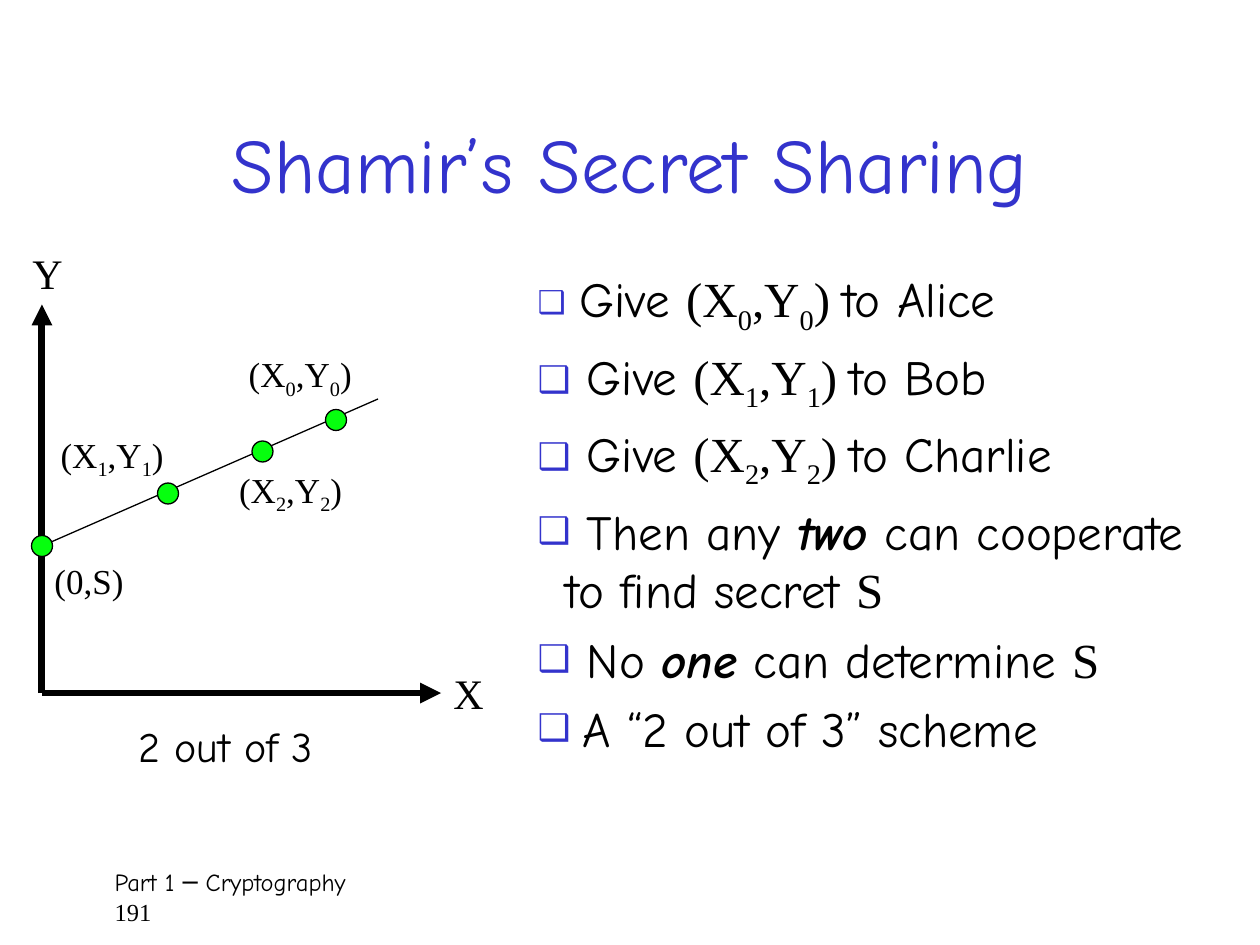
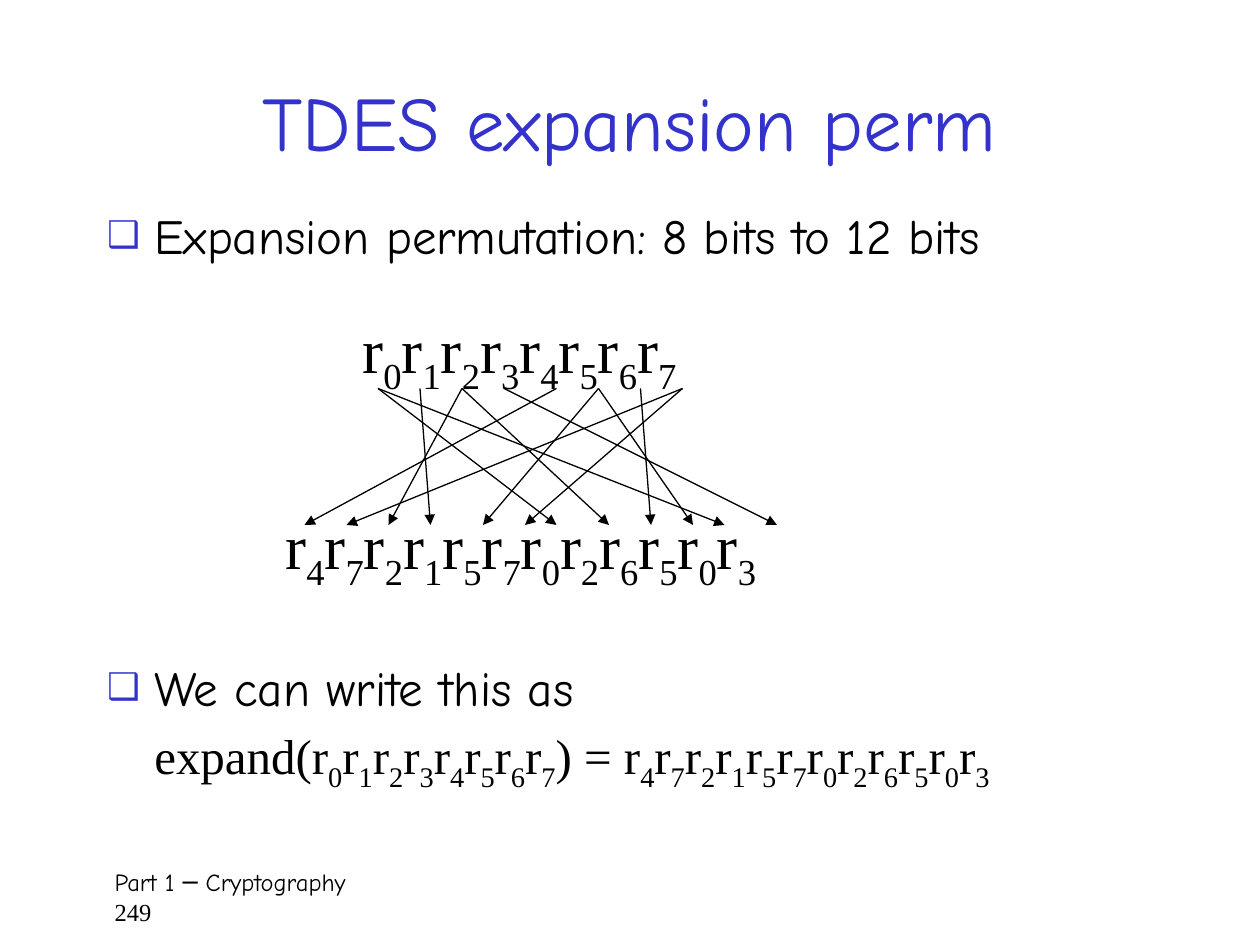
from lxml import etree
from pptx import Presentation
from pptx.dml.color import RGBColor
from pptx.enum.shapes import MSO_CONNECTOR, MSO_SHAPE
from pptx.enum.text import MSO_ANCHOR, MSO_AUTO_SIZE, PP_ALIGN
from pptx.oxml.ns import qn
from pptx.util import Pt

LINE = MSO_CONNECTOR.STRAIGHT
OVAL = MSO_SHAPE.OVAL
TOP = MSO_ANCHOR.TOP
MIDDLE = MSO_ANCHOR.MIDDLE
FIXED = MSO_AUTO_SIZE.NONE
LEFT = PP_ALIGN.LEFT
CENTER = PP_ALIGN.CENTER

BLACK = RGBColor(0x00, 0x00, 0x00)
BLUE = RGBColor(0x33, 0x33, 0xCC)
GREEN = RGBColor(0x06, 0xFF, 0x0E)
WHITE = RGBColor(0xFF, 0xFF, 0xFF)
SANS = "Comic Neue"
SERIF = "Times New Roman"

INPUT = range(8)
ORDER = (4, 7, 2, 1, 5, 7, 0, 2, 6, 5, 0, 3)


def bits(order):
    """Return the marked-up bit names, in the given order."""
    return "".join(f"r_{i}" for i in order)


def put(par, text, size, face=SANS, color=BLACK, strong=False):
    """Add runs to a paragraph; the digit after an underscore is a subscript."""
    head, *rest = text.split("_")
    parts = [(head, False)]
    for part in rest:
        parts += [(part[0], True), (part[1:], False)]
    for piece, low in parts:
        if not piece:
            continue
        run = par.add_run()
        run.text = piece
        font = run.font
        font.size, font.name = Pt(size), face
        font.bold = font.italic = strong
        font.color.rgb = color
        if low:
            run._r.get_or_add_rPr().set("baseline", "-25000")


def mark(par, margin, bullet=True):
    """Give a paragraph its left margin, with or without a hanging box bullet."""
    props = par._p.get_or_add_pPr()
    props.set("marL", str(Pt(margin)))
    props.set("indent", str(Pt(-margin if bullet else 0)))
    if not bullet:
        etree.SubElement(props, qn("a:buNone"))
        return
    color = etree.SubElement(props, qn("a:buClr"))
    etree.SubElement(color, qn("a:srgbClr")).set("val", str(BLUE))
    etree.SubElement(props, qn("a:buSzPct")).set("val", "75000")
    etree.SubElement(props, qn("a:buChar")).set("char", "❑")


def place(shape, left, top, width, height, anchor=TOP):
    """Move a text shape to its box and return its text frame."""
    shape.left, shape.top = Pt(left), Pt(top)
    shape.width, shape.height = Pt(width), Pt(height)
    frame = shape.text_frame
    frame.word_wrap, frame.auto_size = True, FIXED
    frame.vertical_anchor = anchor
    return frame


def label(slide, left, top, width, text, size, face=SERIF):
    """Add a one-line text box."""
    box = slide.shapes.add_textbox(0, 0, 0, 0)
    frame = place(box, left, top, width, size * 1.4)
    put(frame.paragraphs[0], text, size, face)


def stroke(slide, start, end, width=0.75, arrow=True):
    """Draw a straight black line, with an arrowhead at its end if asked."""
    link = slide.shapes.add_connector(LINE, *map(Pt, start + end))
    link.line.color.rgb = BLACK
    link.line.width = Pt(width)
    if arrow:
        tip = etree.SubElement(link.line._get_or_add_ln(), qn("a:tailEnd"))
        tip.set("type", "triangle")
    etree.SubElement(link._element.spPr, qn("a:effectLst"))


def dot(slide, x, y, size=12):
    """Draw a green point centred on x, y."""
    box = map(Pt, (x - size / 2, y - size / 2, size, size))
    shape = slide.shapes.add_shape(OVAL, *box)
    shape.shadow.inherit = False
    shape.fill.solid()
    shape.fill.fore_color.rgb = GREEN
    shape.line.color.rgb = BLACK
    shape.line.width = Pt(0.75)


def start(deck, layout, title, top, number):
    """Add a slide with its title and footer."""
    slide = deck.slides.add_slide(deck.slide_layouts[layout])
    slide.background.fill.solid()
    slide.background.fill.fore_color.rgb = WHITE
    par = place(slide.shapes.title, 54, top, 612, 90, MIDDLE).paragraphs[0]
    par.alignment = CENTER
    put(par, title, 44, color=BLUE)
    foot = place(slide.shapes.add_textbox(0, 0, 0, 0), 54, 492, 618, 36)
    foot.margin_left = Pt(11.5)
    put(foot.paragraphs[0], "Part 1 ─ Cryptography", 14)
    put(foot.add_paragraph(), number, 14, SERIF)
    return slide


def fill(frame, rows, margin, before=0, after=0):
    """Write bulleted rows, each a list of put arguments, in a body."""
    for i, row in enumerate(rows):
        par = frame.paragraphs[0] if i == 0 else frame.add_paragraph()
        par.alignment = LEFT
        par.space_before = Pt(before if i else 0)
        par.space_after = Pt(after)
        mark(par, margin, row[0][0] != "expand(")
        for args in row:
            put(par, *args)


def graph(slide, left, top):
    """Draw the axes, the line and its points, from the axis tip at left, top."""
    base = top + 222
    stroke(slide, (left, base), (left + 228, base), 4)
    stroke(slide, (left, base), (left, top), 4)
    stroke(slide, (left, top + 138), (left + 192, top + 54), arrow=False)
    for x, y in ((168, 66), (72, 108), (0, 138), (126, 84)):
        dot(slide, left + x, top + y)
    names = (
        (111, 24, "(X_0,Y_0)"),
        (3.5, 70, "(X_1,Y_1)"),
        (105.5, 90, "(X_2,Y_2)"),
        (0, 142, "(0,S)"),
    )
    for x, y, text in names:
        label(slide, left + x, top + y, 82, text, 20)
    label(slide, left + 228, base - 18, 36, "X", 24)
    label(slide, left - 12.5, top - 36, 36, "Y", 24)
    label(slide, left + 48, base + 12, 132, "2 out of 3", 24, SANS)


def cross(slide, left, top):
    """Draw both bit rows and the arrows that lead from one to the other."""
    label(slide, left + 44, top, 226, bits(INPUT), 36)
    label(slide, left, top + 112, 426, bits(ORDER), 36)
    tails = [60 + 24 * i + 6 * (i > 3) for i in INPUT]
    tips = (18, 42, 66, 90, 120, 144, 162, 192, 216, 240, 258, 288)
    for bit, tip in zip(ORDER, tips):
        stroke(slide, (left + tails[bit], top + 48), (left + tip, top + 126))


def share(deck):
    """Build the secret sharing slide."""
    slide = start(deck, 1, "Shamir’s Secret Sharing", 48, "191")
    graph(slide, 24, 174)
    rows = [
        [(" ", 24 if i == 0 else 28), ("Give ", 28),
         (f"(X_{i},Y_{i}) ", 28, SERIF), (f"to {name}", 28)]
        for i, name in enumerate(("Alice", "Bob", "Charlie"))
    ]
    rows += [
        [(" Then any ", 28), ("two", 28, SANS, BLACK, True),
         (" can cooperate to find secret ", 28), ("S", 28, SERIF)],
        [(" No ", 28), ("one", 28, SANS, BLACK, True),
         (" can determine ", 28), ("S", 28, SERIF)],
        [(" ", 28, SERIF), ("A “2 out of 3” scheme", 28)],
    ]
    body = place(slide.placeholders[1], 300, 150, 408, 275)
    fill(body, rows, 16, after=6)


def expand(deck):
    """Build the expansion permutation slide."""
    slide = start(deck, 3, "TDES expansion perm", 24, "249")
    body = place(slide.placeholders[1], 54, 114, 612, 54)
    fill(body, [[("Expansion permutation: 8 bits to 12 bits", 28)]], 27)
    cross(slide, 156, 174)
    rows = [
        [("We can write this as", 28)],
        [("expand(", 28, SERIF),
         (f"{bits(INPUT)}) = {bits(ORDER)}", 28, SERIF)],
    ]
    body = place(slide.placeholders[2], 54, 372, 642, 96)
    fill(body, rows, 27, before=5.6)


def main():
    """Build and save the deck."""
    deck = Presentation()
    deck.slide_width, deck.slide_height = Pt(720), Pt(540)
    share(deck)
    expand(deck)
    deck.save("out.pptx")


if __name__ == "__main__":
    main()
